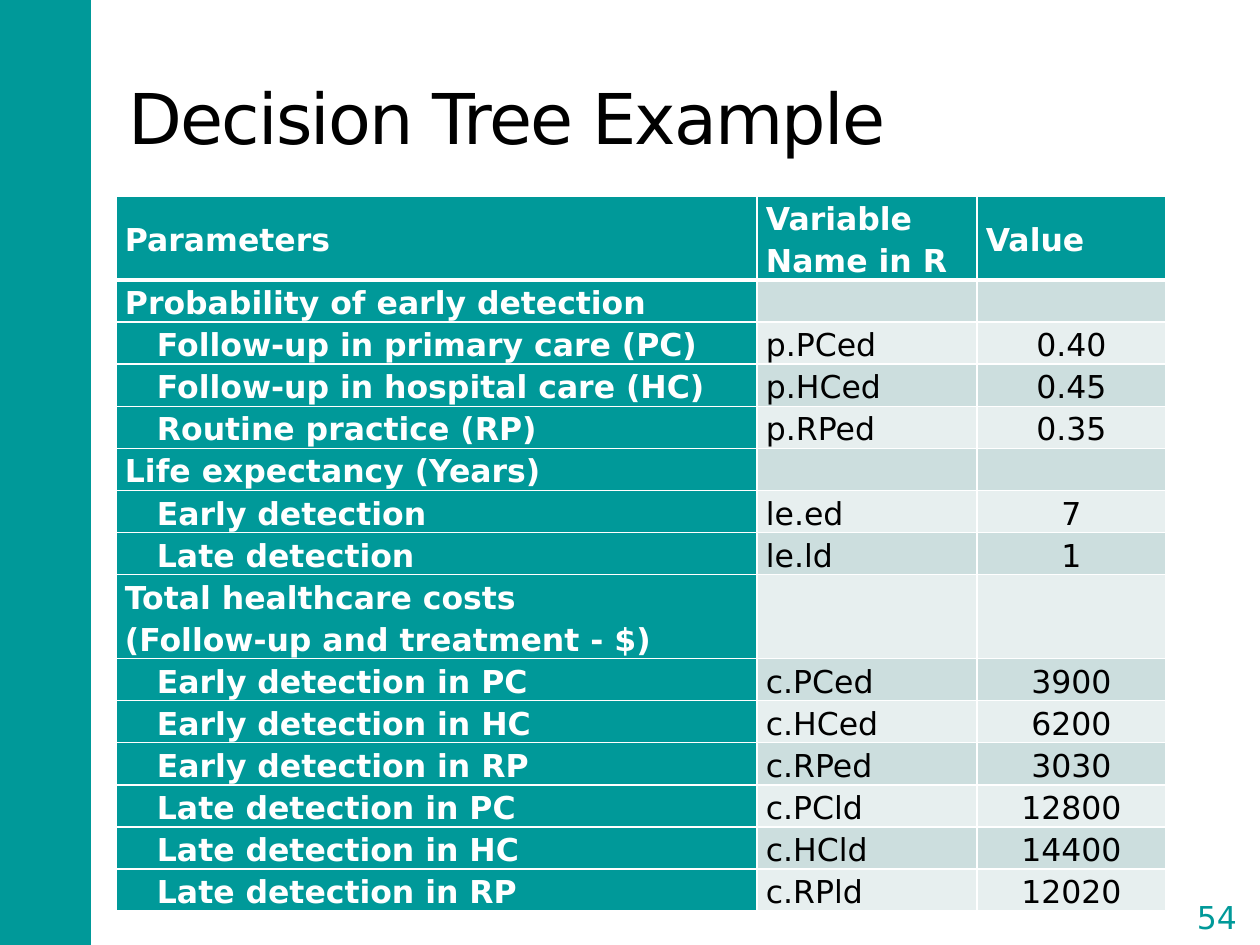
from typing import NamedTuple

from lxml import etree
from pptx import Presentation
from pptx.dml.color import RGBColor
from pptx.enum.shapes import MSO_SHAPE
from pptx.enum.text import MSO_ANCHOR, MSO_AUTO_SIZE, PP_ALIGN
from pptx.oxml.ns import qn
from pptx.util import Pt

SCALE = 914400 / 126
FONT = "DejaVu Sans"
COLORS = {"teal": "009999", "white": "FFFFFF", "black": "000000",
          "dark": "CCDEDE", "light": "E7EFEF"}
RECT, BRACKET = MSO_SHAPE.RECTANGLE, MSO_SHAPE.DOUBLE_BRACKET
MIDDLE, TOP = MSO_ANCHOR.MIDDLE, MSO_ANCHOR.TOP
LEFT, CENTER = PP_ALIGN.LEFT, PP_ALIGN.CENTER
WIDTHS = (641, 220, 189)
LINE = 42


class Row(NamedTuple):
    label: str
    name: str = ""
    value: str = ""


HEADER = Row("Parameters", "Variable Name in R", "Value")
ROWS = [
    Row("Probability of early detection"),
    Row("Follow-up in primary care (PC)", "p.PCed", "0.40"),
    Row("Follow-up in hospital care (HC)", "p.HCed", "0.45"),
    Row("Routine practice (RP)", "p.RPed", "0.35"),
    Row("Life expectancy (Years)"),
    Row("Early detection", "le.ed", "7"),
    Row("Late detection", "le.ld", "1"),
    Row("Total healthcare costs\n(Follow-up and treatment - $)"),
    Row("Early detection in PC", "c.PCed", "3900"),
    Row("Early detection in HC", "c.HCed", "6200"),
    Row("Early detection in RP", "c.RPed", "3030"),
    Row("Late detection in PC", "c.PCld", "12800"),
    Row("Late detection in HC", "c.HCld", "14400"),
    Row("Late detection in RP", "c.RPld", "12020"),
]


def px(n: int) -> int:
    return round(n * SCALE)


def rgb(key: str) -> RGBColor:
    return RGBColor.from_string(COLORS[key])


def write(frame, text: str, size: int, color: str, bold: bool = False,
          align=LEFT) -> None:
    frame.text = text
    for para in frame.paragraphs:
        para.alignment = align
        for run in para.runs:
            font = run.font
            font.name, font.size, font.bold = FONT, Pt(size), bold
            font.color.rgb = rgb(color)


def add_edges(cell, base: float) -> None:
    """Give a cell white borders; base is the width of the lower one in points."""
    props = cell._tc.get_or_add_tcPr()
    for side, width in (("L", 1), ("R", 1), ("T", 1), ("B", base)):
        line = etree.SubElement(props, qn(f"a:ln{side}"), w=str(Pt(width)))
        fill = etree.SubElement(line, qn("a:solidFill"))
        etree.SubElement(fill, qn("a:srgbClr"), val=COLORS["white"])


def fill_cell(cell, text: str, fill: str, head: bool, col: int,
              inset: bool) -> None:
    bold = head or col == 0
    align = CENTER if col == 2 and not head else LEFT
    write(cell.text_frame, text, 18, "white" if bold else "black", bold, align)
    for para in cell.text_frame.paragraphs:
        if text:
            para.line_spacing = 1.15
        if inset:
            para._p.get_or_add_pPr().set("marL", str(px(32)))
    cell.margin_left = cell.margin_right = px(9)
    cell.margin_top = cell.margin_bottom = 0
    cell.vertical_anchor = MIDDLE if head else TOP
    add_edges(cell, 3 if head else 1)
    cell.fill.solid()
    cell.fill.fore_color.rgb = rgb(fill)


def add_params(slide) -> None:
    rows = [HEADER, *ROWS]
    lines = [2 if row is HEADER or "\n" in row.label else 1 for row in rows]
    frame = slide.shapes.add_table(
        len(rows), len(WIDTHS), px(116), px(196),
        px(sum(WIDTHS)), px(LINE * sum(lines)))
    table = frame.table
    for col, width in zip(table.columns, WIDTHS):
        col.width = px(width)
    for i, (row, count) in enumerate(zip(rows, lines)):
        table.rows[i].height = px(LINE * count)
        head = i == 0
        band = "dark" if i % 2 else "light"
        for j, text in enumerate(row):
            fill = "teal" if head or j == 0 else band
            inset = j == 0 and not head and bool(row.name)
            fill_cell(table.cell(i, j), text, fill, head, j, inset)


def add_bar(slide) -> None:
    bar = slide.shapes.add_shape(RECT, px(-3), 0, px(94), px(945))
    bar.shadow.inherit = False
    bar.fill.solid()
    bar.fill.fore_color.rgb = rgb("teal")
    bar.line.fill.background()


def set_title(slide) -> None:
    title = slide.shapes.title
    title.left, title.top = px(116), px(38)
    title.width, title.height = px(1050), px(157)
    frame = title.text_frame
    write(frame, "Decision Tree Example", 40, "black")
    frame.auto_size = MSO_AUTO_SIZE.NONE
    frame.vertical_anchor = MIDDLE
    frame.paragraphs[0].runs[0]._r.get_or_add_rPr().set("spc", "-100")


def add_number(slide) -> None:
    box = slide.shapes.add_shape(BRACKET, px(1179), px(890), px(76), px(54))
    box.adjustments[0] = 0.18
    box.shadow.inherit = False
    box.fill.background()
    box.line.color.rgb = rgb("white")
    box.line.width = Pt(1.5)
    frame = box.text_frame
    frame.margin_left = frame.margin_right = 0
    frame.margin_top = frame.margin_bottom = 0
    frame.vertical_anchor = MIDDLE
    write(frame, "54", 18, "teal", align=CENTER)


def main() -> None:
    deck = Presentation()
    deck.slide_width, deck.slide_height = px(1260), px(945)
    slide = deck.slides.add_slide(deck.slide_layouts[5])
    add_bar(slide)
    set_title(slide)
    add_number(slide)
    add_params(slide)
    deck.save("out.pptx")


if __name__ == "__main__":
    main()
